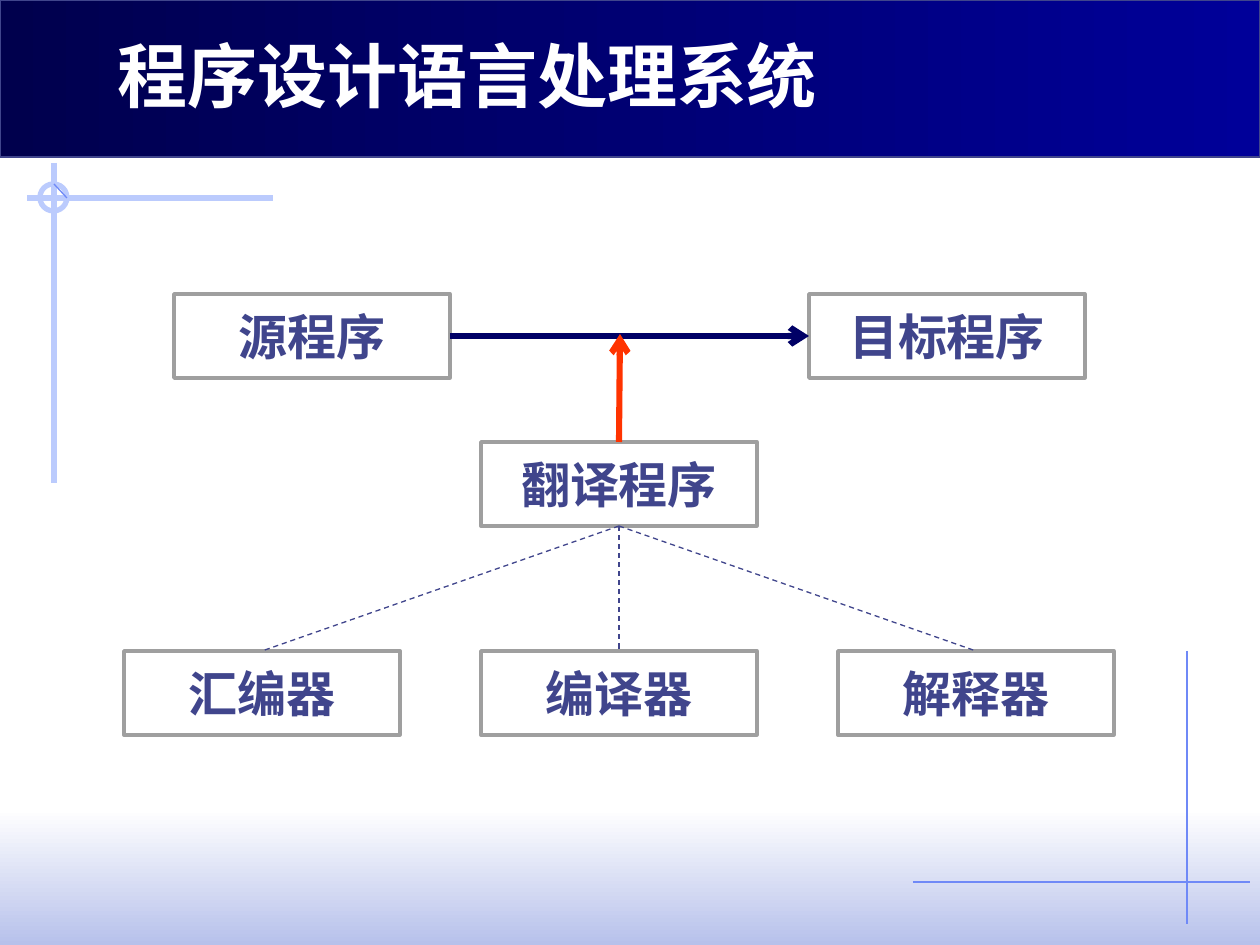
from dataclasses import dataclass

from lxml.etree import SubElement
from pptx import Presentation
from pptx.dml.color import RGBColor
from pptx.enum.dml import MSO_LINE
from pptx.enum.shapes import MSO_CONNECTOR, MSO_SHAPE
from pptx.enum.text import MSO_ANCHOR, MSO_AUTO_SIZE, PP_ALIGN
from pptx.oxml.ns import qn
from pptx.util import Emu, Pt

PIXELS_PER_INCH = 126
BOX_WIDTH, BOX_HEIGHT = 276, 84


@dataclass(frozen=True)
class Theme:
    title_font: str = "Noto Sans CJK JP"
    box_font: str = "Arial"
    title_size: int = 40
    box_size: int = 28
    white: str = "FFFFFF"
    ink: str = "40458C"
    box_border: str = "9F9F9F"
    band_dark: str = "00004D"
    band_light: str = "000099"
    footer: str = "B7C1EB"
    pale_blue: str = "BBCBFD"
    thin_blue: str = "6F89F7"
    navy: str = "000066"
    red: str = "FF3300"


def px(value):
    return Emu(round(value * 914400 / PIXELS_PER_INCH))


def rgb(color):
    return RGBColor.from_string(color)


def set_attributes(target, values):
    for name, value in values.items():
        setattr(target, name, value)


class SlideBuilder:
    def __init__(self, slide, theme):
        self.slide = slide
        self.theme = theme

    def text(self, shape, words, font, size, color, alignment):
        set_attributes(shape.text_frame, {
            "text": words, "word_wrap": True, "auto_size": MSO_AUTO_SIZE.NONE,
            "vertical_anchor": MSO_ANCHOR.MIDDLE,
        })
        paragraph = shape.text_frame.paragraphs[0]
        paragraph.alignment = alignment
        run = paragraph.runs[0]
        set_attributes(run.font, {"name": font, "size": Pt(size), "bold": True})
        run.font.color.rgb = rgb(color)
        SubElement(run.font._element, qn("a:ea"), typeface=font)

    def title(self, words, left, top, width, height):
        """Fill the title placeholder and bring it in front of the band."""
        title = self.slide.shapes.title
        set_attributes(title, {"left": px(left), "top": px(top),
                               "width": px(width), "height": px(height)})
        self.text(title, words, self.theme.title_font, self.theme.title_size,
                  self.theme.white, PP_ALIGN.LEFT)
        title.element.getparent().append(title.element)

    def shape(self, kind, left, top, width, height, border=None, weight=0.75):
        shape = self.slide.shapes.add_shape(
            kind, px(left), px(top), px(width), px(height))
        shape.shadow.inherit = False
        if border:
            shape.line.color.rgb = rgb(border)
            shape.line.width = Pt(weight)
        else:
            shape.line.fill.background()
        return shape

    def gradient(self, left, top, width, height, colors, angle, border=None):
        shape = self.shape(MSO_SHAPE.RECTANGLE, left, top, width, height, border)
        shape.fill.gradient()
        shape.fill.gradient_angle = angle
        for stop, color in zip(shape.fill.gradient_stops, colors):
            stop.color.rgb = rgb(color)

    def ring(self, left, top, diameter, color, weight):
        ring = self.shape(MSO_SHAPE.OVAL, left, top, diameter, diameter, color, weight)
        ring.fill.background()

    def box(self, words, left, top):
        box = self.shape(MSO_SHAPE.RECTANGLE, left, top, BOX_WIDTH, BOX_HEIGHT,
                         self.theme.box_border, 2)
        box.fill.solid()
        box.fill.fore_color.rgb = rgb(self.theme.white)
        self.text(box, words, self.theme.box_font, self.theme.box_size,
                  self.theme.ink, PP_ALIGN.CENTER)

    def line(self, start, end, color, weight=0.75, dash=None, arrow=False):
        connector = self.slide.shapes.add_connector(
            MSO_CONNECTOR.STRAIGHT, *map(px, (*start, *end)))
        connector.line.color.rgb = rgb(color)
        set_attributes(connector.line, {"width": Pt(weight), "dash_style": dash})
        if arrow:
            SubElement(connector.line._get_or_add_ln(), qn("a:tailEnd"), type="arrow")
        SubElement(connector.element.spPr, qn("a:effectLst"))


def draw_background(builder):
    theme = builder.theme
    builder.gradient(0, 809, 1260, 136, (theme.white, theme.footer), 270)
    builder.line((1187, 651), (1187, 924), theme.thin_blue)
    builder.line((273, 198), (27, 198), theme.pale_blue, 3)
    builder.line((54, 163), (54, 483), theme.pale_blue, 3)
    builder.ring(40, 184, 27, theme.pale_blue, 3)
    builder.line((54, 184), (67, 198), theme.thin_blue)
    builder.gradient(0, 0, 1260, 157, (theme.band_dark, theme.band_light), 0, theme.ink)
    builder.line((913, 882), (1250, 882), theme.thin_blue)


def draw_diagram(builder):
    theme = builder.theme
    source_left, target_left, program_top = 174, 809, 294
    translator_left, translator_top = 481, 442
    tool_top, tool_step = 651, 357

    builder.box("源程序", source_left, program_top)
    builder.box("目标程序", target_left, program_top)
    builder.box("翻译程序", translator_left, translator_top)

    flow_y = program_top + BOX_HEIGHT // 2
    center = translator_left + BOX_WIDTH // 2
    builder.line((source_left + BOX_WIDTH, flow_y), (target_left, flow_y),
                 theme.navy, 3.5, arrow=True)
    builder.line((center, translator_top), (center + 1, flow_y - 2),
                 theme.red, 3.5, arrow=True)

    for position, tool in enumerate(("汇编器", "编译器", "解释器"), start=-1):
        offset = position * tool_step
        builder.box(tool, translator_left + offset, tool_top)
        builder.line((center, translator_top + BOX_HEIGHT),
                     (center + offset, tool_top), theme.ink, dash=MSO_LINE.DASH)


def main():
    presentation = Presentation()
    set_attributes(presentation, {"slide_width": px(1260), "slide_height": px(945)})
    slide = presentation.slides.add_slide(presentation.slide_layouts[5])
    builder = SlideBuilder(slide, Theme())
    draw_background(builder)
    builder.title("程序设计语言处理系统", 105, 26, 1002, 97)
    draw_diagram(builder)
    presentation.save("out.pptx")


if __name__ == "__main__":
    main()
